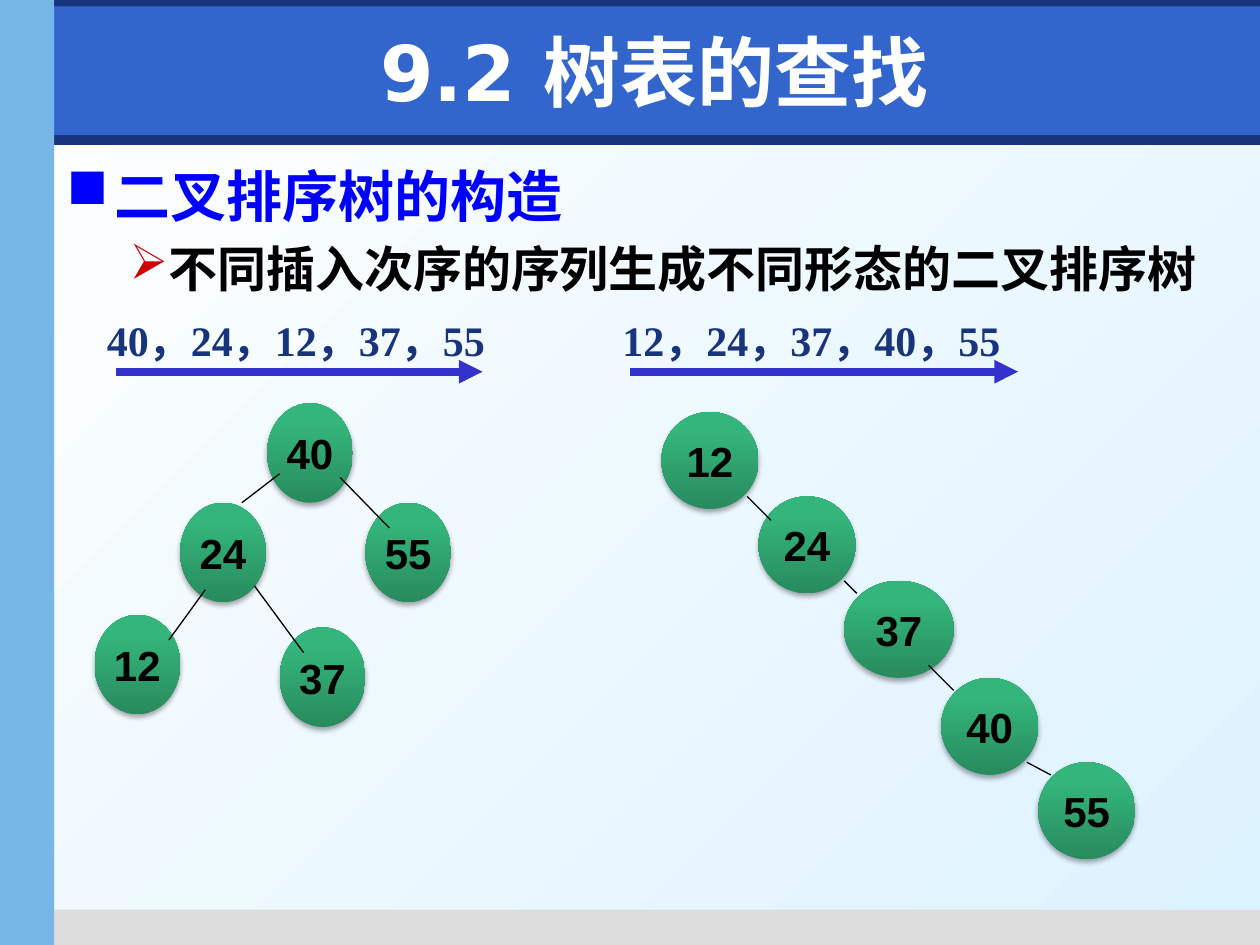
from lxml import etree
from pptx import Presentation
from pptx.dml.color import RGBColor
from pptx.enum.shapes import MSO_CONNECTOR, MSO_SHAPE
from pptx.enum.text import MSO_ANCHOR, MSO_AUTO_SIZE, PP_ALIGN
from pptx.oxml.ns import qn
from pptx.util import Emu, Pt

PX = 9144  # 100 px to the inch
RECT, OVAL = MSO_SHAPE.RECTANGLE, MSO_SHAPE.OVAL
STRAIGHT = MSO_CONNECTOR.STRAIGHT
MIDDLE = MSO_ANCHOR.MIDDLE
CENTER = PP_ALIGN.CENTER
FIT_NONE, FIT_SHAPE = MSO_AUTO_SIZE.NONE, MSO_AUTO_SIZE.SHAPE_TO_FIT_TEXT

WHITE = RGBColor(0xFF, 0xFF, 0xFF)
BLACK = RGBColor(0x00, 0x00, 0x00)
NAVY = RGBColor(0x17, 0x34, 0x7D)
BANNER = RGBColor(0x33, 0x66, 0xCC)
SKY = RGBColor(0x77, 0xB7, 0xE7)
PALE = RGBColor(0xDD, 0xF2, 0xFF)
GRAY = RGBColor(0xDD, 0xDD, 0xDD)
BLUE = RGBColor(0x00, 0x00, 0xFF)
RED = RGBColor(0xCC, 0x00, 0x00)
INDIGO = RGBColor(0x33, 0x33, 0xCC)
GREEN_DARK = RGBColor(0x28, 0x8B, 0x5E)
GREEN_LIGHT = RGBColor(0x34, 0xB5, 0x7B)
GREEN = RGBColor(0x32, 0xB8, 0x7B)

BARS = [  # left, top, width, height, colour
    (4, 107, 1000, 8, NAVY),
    (35, 722, 965, 28, GRAY),
    (0, -3, 1000, 24, NAVY),
    (43, 5, 957, 102, BANNER),
    (0, 0, 43, 750, SKY),
]

# Nodes: key, left, top, width, height; edges: x1, y1, x2, y2
BALANCED_NODES = [(key, left, top, 68, 79) for key, left, top in [
    (40, 212, 320), (24, 143, 399), (55, 290, 399), (12, 75, 488), (37, 222, 498)]]
BALANCED_EDGES = [(222, 376, 192, 399), (163, 468, 134, 508),
                  (202, 465, 241, 518), (270, 379, 309, 419)]
CHAIN_NODES = [(key, left, top, width, 77) for key, left, top, width in [
    (12, 525, 327, 77), (24, 602, 394, 77), (37, 670, 461, 87),
    (40, 747, 538, 77), (55, 824, 605, 77)]]
CHAIN_EDGES = [(593, 394, 612, 413), (670, 461, 680, 471),
               (737, 528, 757, 548), (815, 605, 834, 615)]


def px(*lengths):
    return [Emu(length * PX) for length in lengths]


def add_xml(parent, tag, **attributes):
    return etree.SubElement(parent, qn(tag), {k: str(v) for k, v in attributes.items()})


def add_color(parent, color):
    return add_xml(parent, "a:srgbClr", val=color)


def paint_gradient(fill, element, stops, angle):
    """Fill with (percent, colour) stops; angle runs counter-clockwise."""
    fill.gradient()
    fill.gradient_angle = angle
    stop_list = element.find(".//" + qn("a:gsLst"))
    for stop in list(stop_list):
        stop_list.remove(stop)
    for percent, color in stops:
        add_color(add_xml(stop_list, "a:gs", pos=percent * 1000), color)


def write(paragraph, text, *, size, color, font="Arial", align=None, before=0):
    run = paragraph.add_run()
    run.text = text
    run.font.size, run.font.name, run.font.bold = Pt(size), font, True
    run.font.color.rgb = color
    if align is not None:
        paragraph.alignment = align
    paragraph.space_before = Pt(before)


class TreeSlide:
    node_stops = [(0, GREEN_DARK), (80, GREEN_LIGHT), (100, GREEN)]
    key_style = dict(size=24, color=BLACK, align=CENTER)
    sequence_style = dict(size=24, color=NAVY, font="Times New Roman")

    def __init__(self, deck):
        self.slide = deck.slides.add_slide(deck.slide_layouts[5])
        self.shapes = self.slide.shapes

    def background(self, stops, angle):
        paint_gradient(self.slide.background.fill, self.slide.element, stops, angle)

    def bar(self, left, top, width, height, color):
        bar = self.shapes.add_shape(RECT, *px(left, top, width, height))
        bar.fill.solid()
        bar.fill.fore_color.rgb = color
        bar.line.fill.background()
        bar.shadow.inherit = False

    def title(self, text, *box):
        title = self.shapes.title
        title.left, title.top, title.width, title.height = px(*box)
        # Bring the title in front of the bars
        title.element.getparent().append(title.element)
        frame = title.text_frame
        frame.auto_size, frame.vertical_anchor = FIT_NONE, MIDDLE
        write(frame.paragraphs[0], text, size=44, color=WHITE,
              font="DejaVu Sans", align=CENTER)

    def text_box(self, *box):
        frame = self.shapes.add_textbox(*px(*box)).text_frame
        frame.word_wrap = True
        return frame

    def bullet(self, paragraph, text, mark, mark_color, margin, hang, **style):
        properties = paragraph._p.get_or_add_pPr()
        properties.set("marL", str(margin * PX))
        properties.set("indent", str(-hang * PX))
        add_color(add_xml(properties, "a:buClr"), mark_color)
        add_xml(properties, "a:buChar", char=mark)
        write(paragraph, text, **style)

    def sequence(self, text, *box):
        frame = self.text_box(*box)
        frame.auto_size = FIT_SHAPE
        write(frame.paragraphs[0], text, **self.sequence_style)

    def line(self, x1, y1, x2, y2, color=BLACK, weight=0.75, arrow=False, shapes=None):
        line = (shapes or self.shapes).add_connector(STRAIGHT, *px(x1, y1, x2, y2))
        line.line.color.rgb = color
        line.line.width = Pt(weight)
        if arrow:
            add_xml(line.line._get_or_add_ln(), "a:tailEnd", type="triangle")
        add_xml(line.element.spPr, "a:effectLst")

    def node(self, shapes, key, *box):
        node = shapes.add_shape(OVAL, *px(*box))
        paint_gradient(node.fill, node.element, self.node_stops, 90)
        node.line.fill.background()
        node.shadow.inherit = False
        effects = node.element.spPr.find(qn("a:effectLst"))
        shadow = add_xml(effects, "a:outerShdw", blurRad=Pt(3.1), dist=Pt(1.8),
                         dir=5400000, rotWithShape=0)
        add_xml(add_color(shadow, BLACK), "a:alpha", val=35000)
        frame = node.text_frame
        frame.word_wrap, frame.vertical_anchor = False, MIDDLE
        write(frame.paragraphs[0], str(key), **self.key_style)

    def tree(self, nodes, edges):
        members = self.shapes.add_group_shape().shapes
        for node in nodes:
            self.node(members, *node)
        for edge in edges:
            self.line(*edge, shapes=members)


def main():
    deck = Presentation()
    deck.slide_width, deck.slide_height = px(1000, 750)
    page = TreeSlide(deck)

    # Frame and title
    page.background([(0, WHITE), (100, PALE)], 315)
    for bar in BARS:
        page.bar(*bar)
    page.title("9.2 树表的查找", 59, 13, 921, 87)

    # Topic and its point
    body = page.text_box(43, 123, 937, 590)
    page.bullet(body.paragraphs[0], "二叉排序树的构造", "■", BLUE, 38, 38,
                size=32, color=BLUE)
    point = body.add_paragraph()
    point.level = 1
    page.bullet(point, "不同插入次序的序列生成不同形态的二叉排序树", "➢", RED, 81, 31,
                size=28, color=BLACK, before=6)

    # Trees
    page.tree(BALANCED_NODES, BALANCED_EDGES)
    page.tree(CHAIN_NODES, CHAIN_EDGES)

    # Insertion orders
    page.sequence("40，24，12，37，55", 75, 245, 346, 50)
    for start, end in [(92, 383), (500, 808)]:
        page.line(start, 295, end, 295, color=INDIGO, weight=4.5, arrow=True)
    page.sequence("12，24，37，40，55", 484, 245, 351, 50)

    deck.save("out.pptx")


if __name__ == "__main__":
    main()
